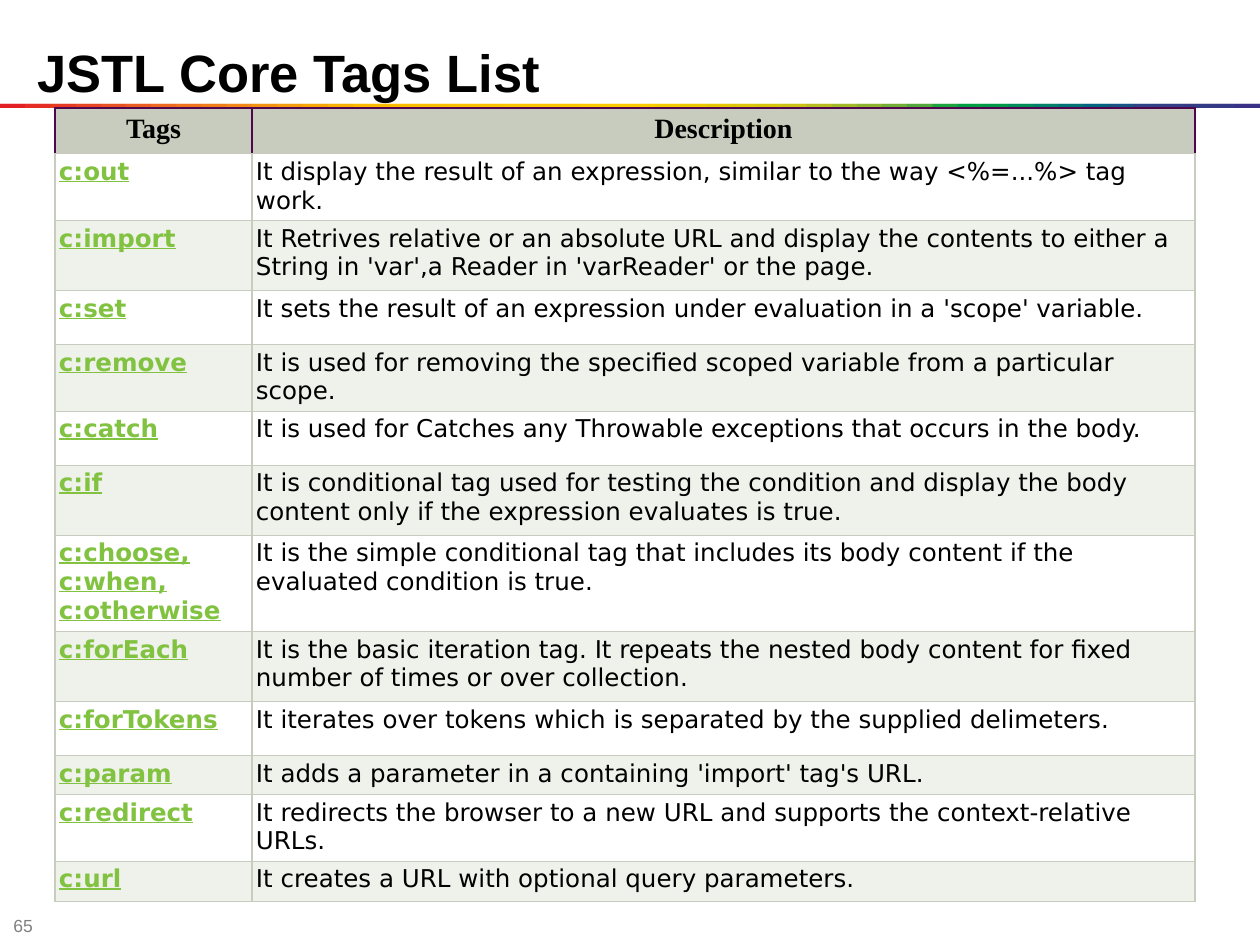
from dataclasses import dataclass

from lxml.etree import SubElement
from pptx import Presentation
from pptx.dml.color import RGBColor
from pptx.enum.shapes import MSO_SHAPE
from pptx.enum.text import MSO_ANCHOR, PP_ALIGN
from pptx.oxml.ns import qn
from pptx.util import Emu, Pt

PX = 914400 // 126
PAGE_WIDTH, PAGE_HEIGHT = 1260, 945

COLORS = {
    "black": "000000",
    "grey": "808080",
    "green": "81C240",
    "purple": "50064C",
    "sage": "C7CCBE",
    "pale": "EFF1EB",
    "white": "FFFFFF",
}

# Colours of the rainbow rule, left to right
RAINBOW = """
E31E24 E31E24 E42C24 E53A24 E74623 E85122 EA5D21 EC691F EE741D EF7E1A
F18817 F39314 F49C0F F6A607 F8B002 FBBA00 FBBB00 FBBD00 FCBF00 FCC000
FCC200 FDC400 FDC600 FDC700 FEC900 FECB00 FBCB00 F3CA00 ECC800 E4C602
DCC50A D5C30E CCC117 B8BC21 A3B829 8CB230 71AD36 51A73B 1DA240 009D43
009846 008C57 008068 007275 00637F 185384 2E4285 313E85 333B85 353885
393185
""".split()


@dataclass
class TagRow:
    tag: str
    description: str
    height: int


TAG_ROWS = [
    TagRow("c:out", "It display the result of an expression, similar to the way <%=...%> tag work.", 66),
    TagRow("c:import", "It Retrives relative or an absolute URL and display the contents to either a "
           "String in 'var',a Reader in 'varReader' or the page.", 70),
    TagRow("c:set", "It sets the result of an expression under evaluation in a 'scope' variable.", 54),
    TagRow("c:remove", "It is used for removing the specified scoped variable from a particular scope.", 66),
    TagRow("c:catch", "It is used for Catches any Throwable exceptions that occurs in the body.", 54),
    TagRow("c:if", "It is conditional tag used for testing the condition and display the body "
           "content only if the expression evaluates is true.", 70),
    TagRow("c:choose, c:when, c:otherwise", "It is the simple conditional tag that includes its body "
           "content if the evaluated condition is true.", 95),
    TagRow("c:forEach", "It is the basic iteration tag. It repeats the nested body content for fixed "
           "number of times or over collection.", 70),
    TagRow("c:forTokens", "It iterates over tokens which is separated by the supplied delimeters.", 54),
    TagRow("c:param", "It adds a parameter in a containing 'import' tag's URL.", 39),
    TagRow("c:redirect", "It redirects the browser to a new URL and supports the context-relative URLs.", 66),
    TagRow("c:url", "It creates a URL with optional query parameters.", 40),
]
HEADER_HEIGHT = 44
COLUMN_WIDTHS = (197, 943)


def px(length: float) -> Emu:
    return Emu(round(length * PX))


def rgb(name: str) -> RGBColor:
    return RGBColor.from_string(COLORS[name])


def write(frame, text: str, *, size: int, font: str, color: str = "black", bold: bool = False,
          underline: bool = False, align=PP_ALIGN.LEFT) -> None:
    para = frame.paragraphs[0]
    para.alignment = align
    span = para.add_run()
    span.text = text
    span.font.size = Pt(size)
    span.font.name = font
    span.font.bold = bold
    span.font.underline = underline
    span.font.color.rgb = rgb(color)


def place(shape, left: int, top: int, width: int, height: int) -> None:
    shape.left, shape.top, shape.width, shape.height = map(px, (left, top, width, height))


def style_cell(cell, fill: str, margin: int, edge: str) -> None:
    """Set borders, fill and margins; the bottom border is always sage."""
    properties = cell._tc.get_or_add_tcPr()
    for side, color in (("L", edge), ("R", edge), ("T", edge), ("B", "sage")):
        line = SubElement(properties, qn(f"a:ln{side}"), w=str(Pt(0.75)))
        solid = SubElement(line, qn("a:solidFill"))
        SubElement(solid, qn("a:srgbClr"), val=COLORS[color])
    cell.fill.solid()
    cell.fill.fore_color.rgb = rgb(fill)
    cell.margin_left = cell.margin_right = cell.margin_top = cell.margin_bottom = px(margin)
    cell.vertical_anchor = MSO_ANCHOR.TOP


def draw_rainbow(page) -> None:
    """Overlapping bars, each two steps wide and clipped at the page edges."""
    group = page.shapes.add_group_shape()
    last = len(RAINBOW) - 1
    step = PAGE_WIDTH / last
    for index, color in enumerate(RAINBOW):
        start, end = max(0, index - 1), min(last, index + 1)
        bar = group.shapes.add_shape(MSO_SHAPE.RECTANGLE, px(start * step), px(104),
                                     px((end - start) * step), px(4))
        bar.shadow.inherit = False
        bar.fill.solid()
        bar.fill.fore_color.rgb = RGBColor.from_string(color)
        bar.line.fill.background()


def draw_table(page) -> None:
    heights = [HEADER_HEIGHT] + [row.height for row in TAG_ROWS]
    table = page.shapes.add_table(len(heights), len(COLUMN_WIDTHS), px(55), px(108),
                                  px(sum(COLUMN_WIDTHS)), px(sum(heights))).table
    table.first_row = table.horz_banding = False
    for column, width in zip(table.columns, COLUMN_WIDTHS):
        column.width = px(width)
    for row, height in zip(table.rows, heights):
        row.height = px(height)

    # Header
    for cell, text in zip(table.rows[0].cells, ("Tags", "Description")):
        style_cell(cell, "sage", 6, "purple")
        write(cell.text_frame, text, size=16, font="Times New Roman", bold=True, align=PP_ALIGN.CENTER)

    # Tags and their descriptions, on alternating fills
    for number, row in enumerate(TAG_ROWS, start=1):
        tag_cell, description_cell = table.rows[number].cells
        for cell in (tag_cell, description_cell):
            style_cell(cell, "white" if number % 2 else "pale", 4, "sage")
        write(tag_cell.text_frame, row.tag, size=14, font="DejaVu Sans", color="green",
              bold=True, underline=True)
        write(description_cell.text_frame, row.description, size=14, font="DejaVu Sans")


def main() -> None:
    deck = Presentation()
    deck.slide_width, deck.slide_height = px(PAGE_WIDTH), px(PAGE_HEIGHT)
    page = deck.slides.add_slide(deck.slide_layouts[5])

    # Page number
    box = page.shapes.add_textbox(px(1), px(916), px(49), px(20))
    box.text_frame.word_wrap = True
    box.text_frame.margin_top = box.text_frame.margin_bottom = 0
    box.text_frame.vertical_anchor = MSO_ANCHOR.MIDDLE
    write(box.text_frame, "65", size=10, font="Arial", color="grey")

    draw_rainbow(page)

    # Title
    title = page.shapes.title
    place(title, 25, 33, 1134, 77)
    title.text_frame.vertical_anchor = MSO_ANCHOR.MIDDLE
    write(title.text_frame, "JSTL Core Tags List", size=30, font="Arial", bold=True)

    draw_table(page)
    deck.save("out.pptx")


if __name__ == "__main__":
    main()
